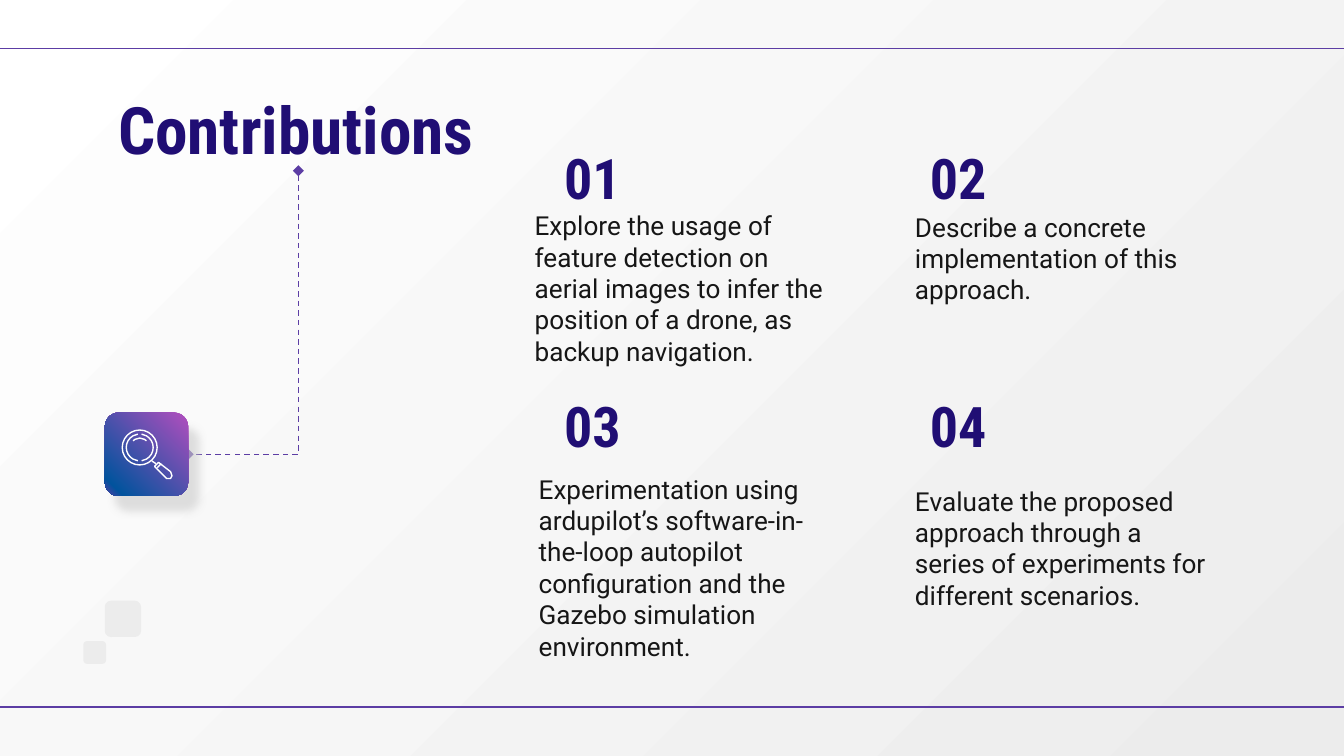
from lxml.etree import SubElement
from pptx import Presentation
from pptx.dml.color import RGBColor
from pptx.enum.dml import MSO_LINE
from pptx.enum.shapes import MSO_CONNECTOR, MSO_SHAPE
from pptx.enum.text import MSO_ANCHOR
from pptx.oxml.ns import qn
from pptx.util import Inches, Pt

NAVY, PURPLE, INK, GREY, WHITE = "200E74", "5C3DA4", "161616", "ECECEC", "FFFFFF"
BODY = {"name": "Roboto", "size": Pt(14), "bold": False}
TITLE = {"name": "Roboto Condensed", "size": Pt(35), "bold": True}
NUMBER = {**TITLE, "size": Pt(30)}


def rgb(value):
    return RGBColor.from_string(value)


def add_gradient(fill, element, stops, angle):
    fill.gradient()
    fill.gradient_angle = 360 - angle
    stop_list = next(element.iter(qn("a:gsLst")))
    for stop in list(stop_list):
        stop_list.remove(stop)
    for position, color in stops:
        stop = SubElement(stop_list, qn("a:gs"), pos=str(position * 1000))
        SubElement(stop, qn("a:srgbClr"), val=color)


def add_text(slide, box, text, style, color, anchor=MSO_ANCHOR.TOP):
    frame = slide.shapes.add_textbox(*map(Inches, box)).text_frame
    frame.word_wrap = True
    frame.vertical_anchor = anchor
    for side in ("left", "top", "right", "bottom"):
        setattr(frame, f"margin_{side}", Inches(0.1))
    paragraph = frame.paragraphs[0]
    paragraph.text = text
    for name, value in style.items():
        setattr(paragraph.font, name, value)
    paragraph.font.color.rgb = rgb(color)


def add_line(slide, start, end, color, kind=MSO_CONNECTOR.STRAIGHT):
    line = slide.shapes.add_connector(kind, *map(Inches, (*start, *end)))
    line.line.color.rgb = rgb(color)
    line.line.width = Pt(0.75)
    SubElement(line._element.spPr, qn("a:effectLst"))
    return line


def add_elbow(slide, start, end):
    width, height = start[0] - end[0], end[1] - start[1]
    center_x, center_y = (start[0] + end[0]) / 2, (start[1] + end[1]) / 2
    elbow = add_line(
        slide,
        (center_x - height / 2, center_y - width / 2),
        (center_x + height / 2, center_y + width / 2),
        PURPLE,
        MSO_CONNECTOR.ELBOW,
    )
    properties = elbow._element.spPr
    properties.find(qn("a:xfrm")).set("rot", str(90 * 60000))
    properties.find(qn("a:prstGeom")).set("prst", "bentConnector2")
    elbow.line.dash_style = MSO_LINE.DASH
    for tag in ("a:headEnd", "a:tailEnd"):
        SubElement(properties.find(qn("a:ln")), qn(tag), type="diamond")


def add_square(slide, left, top, size):
    square = slide.shapes.add_shape(
        MSO_SHAPE.ROUNDED_RECTANGLE, *map(Inches, (left, top, size, size))
    )
    square.shadow.inherit = False
    square.line.fill.background()
    return square


def add_decoration(slide, left, top):
    for offset_x, offset_y, size in ((0.16, 0, 0.27), (0, 0.3, 0.17)):
        square = add_square(slide, left + offset_x, top + offset_y, size)
        square.fill.solid()
        square.fill.fore_color.rgb = rgb(GREY)


def outline_white(shape):
    shape.shadow.inherit = False
    shape.fill.background()
    shape.line.color.rgb = rgb(WHITE)
    shape.line.width = Pt(0.75)


def add_magnifier(slide, left, top):
    center_x, center_y = left + 0.26, top + 0.26

    def add_round(kind, radius):
        shape = slide.shapes.add_shape(
            kind,
            *map(Inches, (center_x - radius, center_y - radius, 2 * radius, 2 * radius)),
        )
        outline_white(shape)
        return shape

    add_round(MSO_SHAPE.OVAL, 0.13)
    for radius, start, end in ((0.1, 98, 262), (0.1, 278, 82), (0.07, 225, 315)):
        arc = add_round(MSO_SHAPE.ARC, radius)
        arc.adjustments[0] = start * 0.6
        arc.adjustments[1] = end * 0.6

    handle = [(0.4, 0.37), (0.49, 0.44), (0.5, 0.47), (0.49, 0.49), (0.46, 0.49), (0.37, 0.4)]
    points = [(Inches(left + x), Inches(top + y)) for x, y in handle]
    builder = slide.shapes.build_freeform(*points[0])
    builder.add_line_segments(points[1:], close=True)
    outline_white(builder.convert_to_shape())
    for start, end in (((0.35, 0.36), (0.38, 0.38)), ((0.42, 0.38), (0.39, 0.41))):
        add_line(
            slide, (left + start[0], top + start[1]), (left + end[0], top + end[1]), WHITE
        )


def add_icon(slide, left, top, size):
    tile = add_square(slide, left, top, size)
    properties = tile._element.spPr
    add_gradient(tile.fill, properties, ((0, "B24EBE"), (89, "01539D"), (100, PURPLE)), 135)
    shadow = SubElement(
        properties.find(qn("a:effectLst")),
        qn("a:outerShdw"),
        blurRad=str(Pt(4.5)),
        dist=str(Pt(9.8)),
        dir=str(55 * 60000),
        algn="bl",
        rotWithShape="0",
    )
    color = SubElement(shadow, qn("a:srgbClr"), val="CCCCCC")
    SubElement(color, qn("a:alpha"), val="60000")
    add_magnifier(slide, left, top)


def add_contributions(slide, left, top):
    items = (
        ("Explore the usage of feature detection on aerial images to infer the position of a drone, as backup navigation.", -0.22, 0.47, 1.31),
        ("Describe a concrete implementation of this approach.", 2.61, 0.48, 0.93),
        ("Experimentation using ardupilot’s software-in-the-loop autopilot configuration and the Gazebo simulation environment.", -0.19, 2.43, 1.52),
        ("Evaluate the proposed approach through a series of experiments for different scenarios.", 2.61, 2.52, 1.23),
    )
    for index, (text, offset_x, offset_y, height) in enumerate(items):
        row, column = divmod(index, 2)
        add_text(slide, (left + offset_x, top + offset_y, 2.4, height), text, BODY, INK)
        number_box = (left + column * 2.72, top + row * 1.84, 2.4, 0.68)
        add_text(slide, number_box, f"{index + 1:02}", NUMBER, NAVY, MSO_ANCHOR.BOTTOM)


def main():
    presentation = Presentation()
    presentation.slide_width = Inches(10)
    presentation.slide_height = presentation.slide_width * 9 // 16
    slide = presentation.slides.add_slide(presentation.slide_layouts[6])
    add_gradient(slide.background.fill, slide._element, ((0, WHITE), (100, GREY)), 45)
    for top in (0.36, 5.26):
        add_line(slide, (0, top), (10, top), PURPLE)
    add_contributions(slide, 4.1, 0.99)
    add_text(slide, (0.78, 0.56, 2.89, 0.71), "Contributions", TITLE, NAVY)
    add_decoration(slide, 0.62, 4.47)
    add_elbow(slide, (2.22, 1.27), (1.4, 3.38))
    add_icon(slide, 0.78, 3.07, 0.62)
    presentation.save("out.pptx")


if __name__ == "__main__":
    main()
